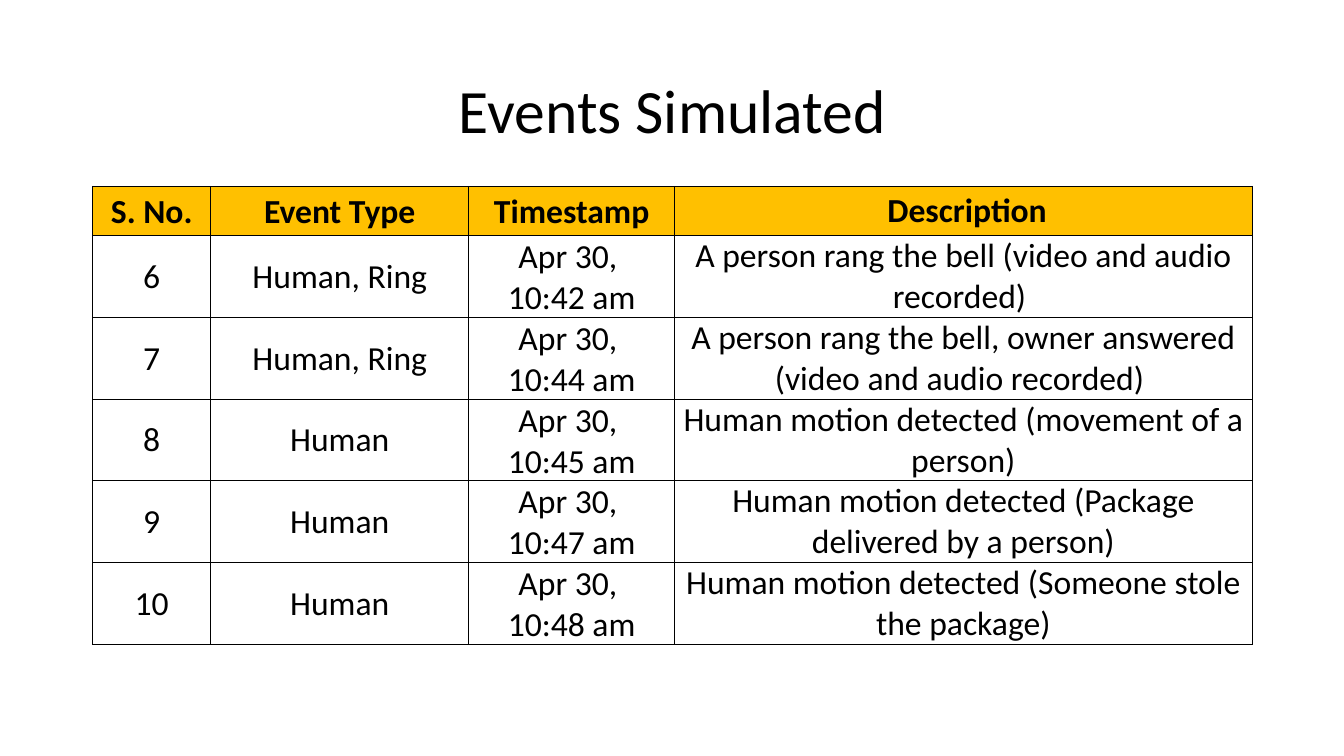
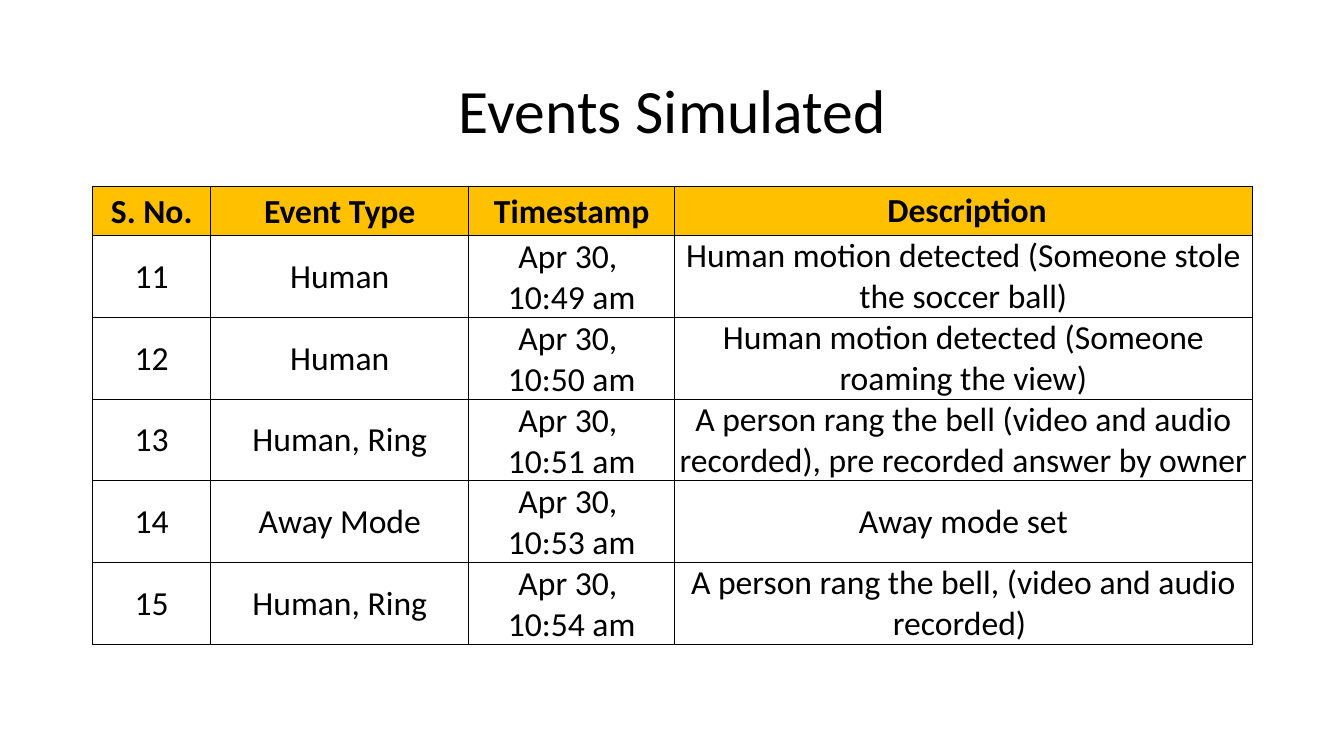
from dataclasses import dataclass

from lxml.etree import SubElement
from pptx import Presentation
from pptx.dml.color import RGBColor
from pptx.enum.text import MSO_ANCHOR as Anchor, PP_ALIGN as Align
from pptx.oxml.ns import qn
from pptx.util import Inches, Pt


@dataclass(frozen=True)
class Theme:
    font: str = "Calibri"
    ink: str = "000000"
    header: str = "FFC000"
    title_size: int = 44
    table_size: int = 24
    border_width: int = 1


LEFT, WIDTH = 0.92, 11.5
TITLE_TOP, TITLE_HEIGHT = 0.4, 1.45
TABLE_TOP = TITLE_TOP + TITLE_HEIGHT
HEADER_HEIGHT, EVENT_HEIGHT = 0.49, 0.81
COLUMN_WIDTHS = (1.17, 2.56, 2.04, 5.73)
HEADINGS = ("S. No.", "Event Type", "Timestamp", " Description")

RING, HUMAN, AWAY = "Human, Ring", "Human", "Away Mode"
EVENT_PAGES = (
    (6, (
        (RING, "10:42", "A person rang the bell (video and audio recorded) "),
        (RING, "10:44", "A person rang the bell, owner answered "
                        "(video and audio recorded) "),
        (HUMAN, "10:45", "Human motion detected (movement of a person)"),
        (HUMAN, "10:47", "Human motion detected (Package delivered by a person)"),
        (HUMAN, "10:48", "Human motion detected (Someone stole the package)"),
    )),
    (11, (
        (HUMAN, "10:49", "Human motion detected (Someone stole the soccer ball)"),
        (HUMAN, "10:50", "Human motion detected (Someone roaming the view)"),
        (RING, "10:51", "A person rang the bell (video and audio recorded), "
                        "pre recorded answer by owner"),
        (AWAY, "10:53", "Away mode set"),
        (RING, "10:54", "A person rang the bell, (video and audio recorded) "),
    )),
)


def set_all(target, values):
    for name, value in values.items():
        setattr(target, name, value)


class EventDeck:
    """Holds the style and the slide being filled."""

    def __init__(self, theme):
        self.theme = theme
        self.deck = Presentation()
        set_all(self.deck, {"slide_width": Inches(13.33), "slide_height": Inches(7.5)})
        self.page = None

    def add_page(self):
        self.page = self.deck.slides.add_slide(self.deck.slide_layouts[6])

    def fill_text(self, frame, text, size, bold=False, line_spacing=1.0):
        frame.text = text
        for para in frame.paragraphs:
            set_all(para, {"alignment": Align.CENTER, "line_spacing": line_spacing})
            for span in para.runs:
                set_all(span.font, {"name": self.theme.font, "size": Pt(size), "bold": bold})
                span.font.color.rgb = RGBColor.from_string(self.theme.ink)

    def add_title(self, text):
        box = self.page.shapes.add_textbox(
            Inches(LEFT), Inches(TITLE_TOP), Inches(WIDTH), Inches(TITLE_HEIGHT))
        set_all(box.text_frame, {"word_wrap": True, "vertical_anchor": Anchor.MIDDLE})
        self.fill_text(box.text_frame, text, self.theme.title_size, line_spacing=0.9)

    def add_borders(self, cell):
        properties = cell._tc.get_or_add_tcPr()
        for side in ("lnL", "lnR", "lnT", "lnB"):
            line = SubElement(properties, qn(f"a:{side}"),
                              w=str(Pt(self.theme.border_width)))
            fill = SubElement(line, qn("a:solidFill"))
            SubElement(fill, qn("a:srgbClr"), val=self.theme.ink)

    def add_cell(self, cell, text, is_header, is_description):
        side, top = (0, 0) if is_description else (0.07, 0.01)
        set_all(cell, {
            "margin_left": Inches(side), "margin_right": Inches(side),
            "margin_top": Inches(top), "margin_bottom": 0,
            "vertical_anchor": Anchor.MIDDLE,
        })
        self.add_borders(cell)
        if is_header:
            cell.fill.solid()
            cell.fill.fore_color.rgb = RGBColor.from_string(self.theme.header)
        else:
            cell.fill.background()
        self.fill_text(cell.text_frame, text, self.theme.table_size, bold=is_header)

    def add_event_table(self, first_number, events):
        rows = [HEADINGS]
        for number, (kind, time, description) in enumerate(events, first_number):
            rows.append((str(number), kind, f"Apr 30, \n{time} am", description))
        height = HEADER_HEIGHT + EVENT_HEIGHT * len(events)
        table = self.page.shapes.add_table(
            len(rows), len(HEADINGS), Inches(LEFT), Inches(TABLE_TOP),
            Inches(WIDTH), Inches(height)).table
        set_all(table, {"first_row": False, "horz_banding": False})
        for column, width in zip(table.columns, COLUMN_WIDTHS):
            column.width = Inches(width)
        for r, texts in enumerate(rows):
            table.rows[r].height = Inches(EVENT_HEIGHT if r else HEADER_HEIGHT)
            for c, text in enumerate(texts):
                self.add_cell(table.cell(r, c), text, r == 0, c == len(HEADINGS) - 1)


def main():
    builder = EventDeck(Theme())
    for first_number, events in EVENT_PAGES:
        builder.add_page()
        builder.add_title("Events Simulated")
        builder.add_event_table(first_number, events)
    builder.deck.save("out.pptx")


if __name__ == "__main__":
    main()
